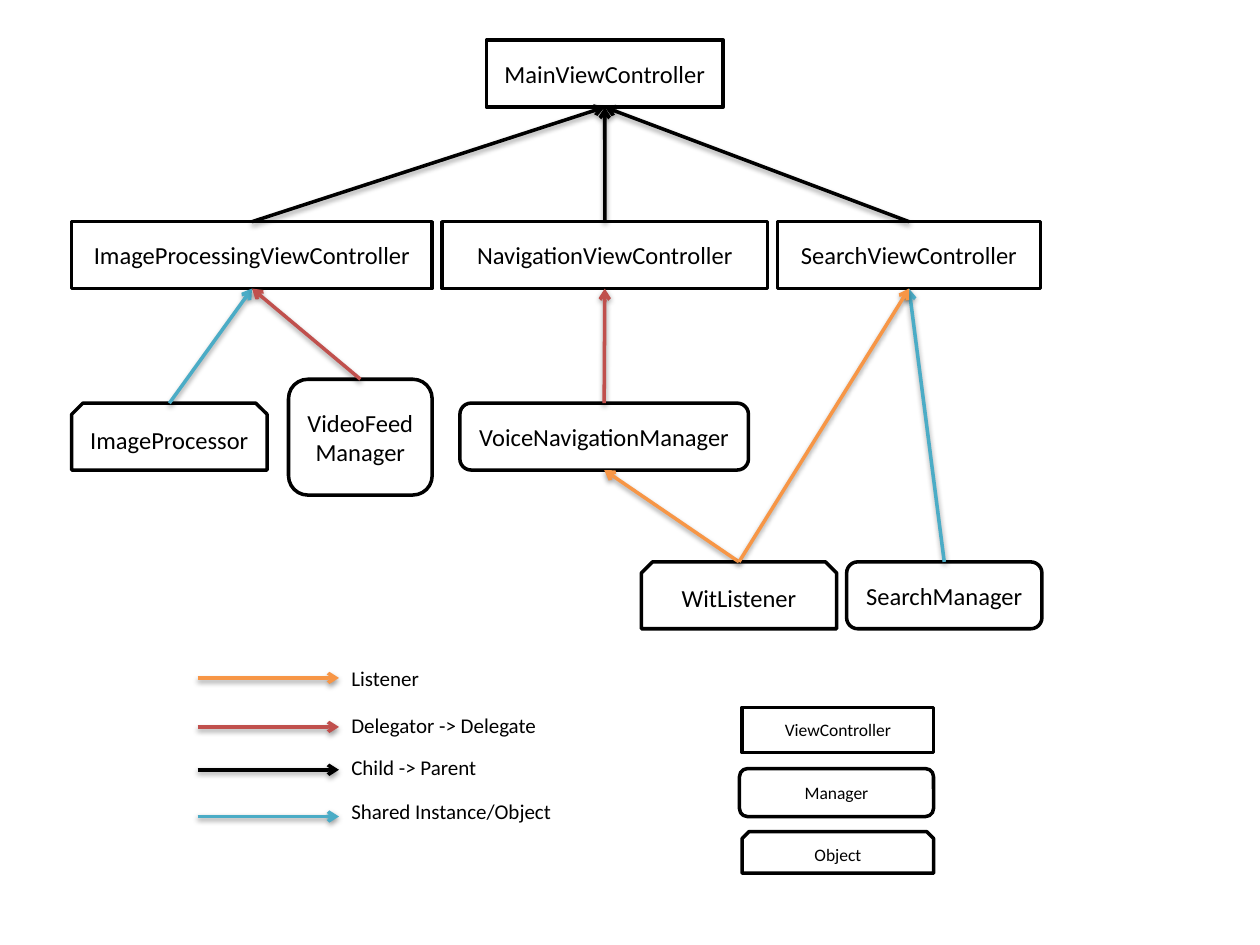
"""Build a slide showing how view controllers, managers and objects relate."""
from dataclasses import dataclass

from lxml import etree
from pptx import Presentation
from pptx.dml.color import RGBColor
from pptx.enum.shapes import MSO_CONNECTOR, MSO_SHAPE
from pptx.enum.text import MSO_ANCHOR, MSO_AUTO_SIZE, PP_ALIGN
from pptx.oxml.ns import qn
from pptx.util import Pt

VIEW_CONTROLLER = MSO_SHAPE.RECTANGLE
MANAGER = MSO_SHAPE.ROUNDED_RECTANGLE
OBJECT = MSO_SHAPE.SNIP_2_SAME_RECTANGLE
STRAIGHT = MSO_CONNECTOR.STRAIGHT
CENTER, LEFT = PP_ALIGN.CENTER, PP_ALIGN.LEFT
MIDDLE, TOP = MSO_ANCHOR.MIDDLE, MSO_ANCHOR.TOP
GROW, FIXED = MSO_AUTO_SIZE.SHAPE_TO_FIT_TEXT, MSO_AUTO_SIZE.NONE

TOP_SITE = {VIEW_CONTROLLER: 0, MANAGER: 0, OBJECT: 3}
BOTTOM_SITE = 2


@dataclass(frozen=True)
class Theme:
    ink: str = "000000"
    paper: str = "FFFFFF"
    listener: str = "F79646"
    delegate: str = "C0504D"
    parent: str = "000000"
    shared: str = "4BACC6"
    font: str = "Calibri"
    node_size: float = 14
    label_size: float = 12
    key_size: float = 10
    stroke: float = 2


def assign(target, values):
    for attribute, value in values.items():
        setattr(target, attribute, value)


class Diagram:
    def __init__(self, slide, theme):
        self.shapes = slide.shapes
        self.theme = theme

    def set_wording(self, frame, wording, size, align, layout):
        assign(frame, {"word_wrap": True, **layout})
        paragraph = frame.paragraphs[0]
        paragraph.alignment = align
        run = paragraph.add_run()
        run.text = wording
        assign(run.font, {"name": self.theme.font, "size": Pt(size)})
        run.font.color.rgb = RGBColor.from_string(self.theme.ink)

    def set_stroke(self, line, color):
        line.width = Pt(self.theme.stroke)
        line.color.rgb = RGBColor.from_string(color)

    def node(self, role, wording, bounds, size):
        node = self.shapes.add_shape(role, *map(Pt, bounds))
        node.shadow.inherit = False
        node.fill.solid()
        node.fill.fore_color.rgb = RGBColor.from_string(self.theme.paper)
        self.set_stroke(node.line, self.theme.ink)
        self.set_wording(node.text_frame, wording, size, CENTER,
                         {"vertical_anchor": MIDDLE, "auto_size": FIXED})
        return node

    def label(self, wording, bounds):
        label = self.shapes.add_textbox(*map(Pt, bounds))
        self.set_wording(label.text_frame, wording, self.theme.label_size,
                         LEFT, {"vertical_anchor": TOP, "auto_size": GROW})

    def arrow(self, color, start, end):
        arrow = self.shapes.add_connector(STRAIGHT, *start, *end)
        self.set_stroke(arrow.line, color)
        properties = arrow._element.spPr
        outline = properties.find(qn("a:ln"))
        etree.SubElement(outline, qn("a:tailEnd"), type="arrow")
        effects = etree.SubElement(properties, qn("a:effectLst"))
        shadow = etree.SubElement(
            effects, qn("a:outerShdw"), blurRad=str(Pt(3.1)),
            dist=str(Pt(1.6)), dir="5400000", rotWithShape="0")
        tint = etree.SubElement(shadow, qn("a:srgbClr"), val=self.theme.ink)
        etree.SubElement(tint, qn("a:alpha"), val="38000")
        return arrow

    def relation(self, color, source, target):
        start = (source.left + source.width // 2, source.top)
        end = (target.left + target.width // 2, target.top + target.height)
        arrow = self.arrow(color, start, end)
        arrow.begin_connect(source, TOP_SITE[source.auto_shape_type])
        arrow.end_connect(target, BOTTOM_SITE)
        assign(arrow, {"begin_x": start[0], "begin_y": start[1],
                       "end_x": end[0], "end_y": end[1]})


def main():
    theme = Theme()
    deck = Presentation()
    assign(deck, {"slide_width": Pt(720), "slide_height": Pt(540)})
    diagram = Diagram(deck.slides.add_slide(deck.slide_layouts[6]), theme)

    height = 38.2
    controller_top, manager_top, listener_top = 126.7, 230.4, 321.1
    node_bounds = {
        "MainViewController": (VIEW_CONTROLLER, 277.9, 23, 135.4, height),
        "ImageProcessingViewController":
            (VIEW_CONTROLLER, 41, controller_top, 206, height),
        "NavigationViewController":
            (VIEW_CONTROLLER, 252.7, controller_top, 185.8, height),
        "SearchViewController":
            (VIEW_CONTROLLER, 444.2, controller_top, 150.5, height),
        "ImageProcessor": (OBJECT, 41, manager_top, 111.6, height),
        "VideoFeedManager": (MANAGER, 164.9, 216.7, 82.1, 66.2),
        "VoiceNavigationManager":
            (MANAGER, 262.8, manager_top, 164.9, height),
        "WitListener": (OBJECT, 366.5, listener_top, 111.6, height),
        "SearchManager": (MANAGER, 483.8, listener_top, 111.6, height),
    }
    nodes = {name: diagram.node(role, name, bounds, theme.node_size)
             for name, (role, *bounds) in node_bounds.items()}

    relations = [
        (theme.parent, "ImageProcessingViewController", "MainViewController"),
        (theme.parent, "NavigationViewController", "MainViewController"),
        (theme.parent, "SearchViewController", "MainViewController"),
        (theme.shared, "ImageProcessor", "ImageProcessingViewController"),
        (theme.delegate, "VideoFeedManager", "ImageProcessingViewController"),
        (theme.delegate, "VoiceNavigationManager", "NavigationViewController"),
        (theme.listener, "WitListener", "VoiceNavigationManager"),
        (theme.shared, "SearchManager", "SearchViewController"),
        (theme.listener, "WitListener", "SearchViewController"),
    ]
    for color, source, target in relations:
        diagram.relation(color, nodes[source], nodes[target])

    arrow_left, arrow_right = 113, 193.7
    arrow_key = [
        (theme.listener, "Listener", 387.4, 376.6),
        (theme.delegate, "Delegator -> Delegate", 415.4, 403.9),
        (theme.parent, "Child -> Parent", 439.9, 427.7),
        (theme.shared, "Shared Instance/Object", 466.6, 452.9),
    ]
    for color, meaning, arrow_y, label_top in arrow_key:
        diagram.arrow(color, (Pt(arrow_left), Pt(arrow_y)),
                      (Pt(arrow_right), Pt(arrow_y)))
        diagram.label(meaning, (arrow_right, label_top, 133.9, 21.6))

    shape_key = [
        (VIEW_CONTROLLER, "ViewController", (424.1, 404.2, 109.4, 25.9)),
        (MANAGER, "Manager", (422.6, 439.2, 110.9, 27.4)),
        (OBJECT, "Object", (424.1, 475.2, 109.4, 23.8)),
    ]
    for role, meaning, bounds in shape_key:
        diagram.node(role, meaning, bounds, theme.key_size)

    deck.save("out.pptx")


if __name__ == "__main__":
    main()
